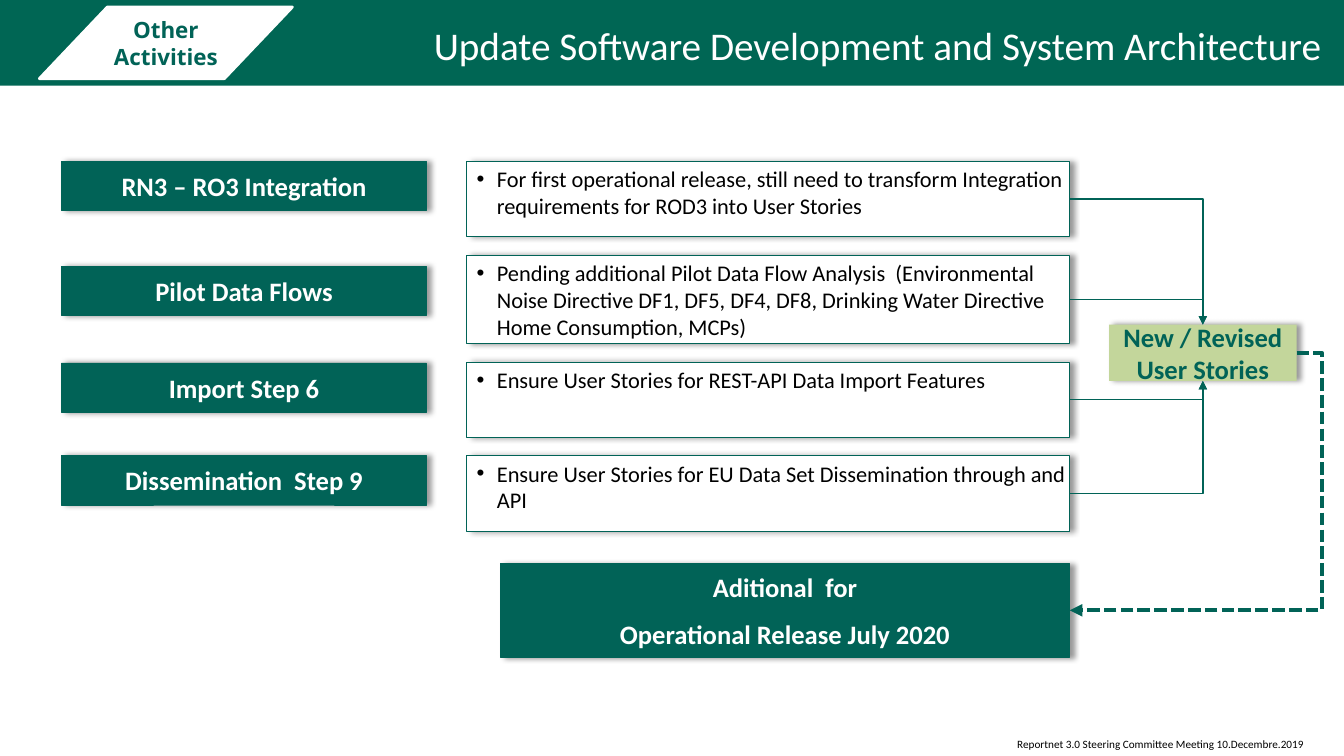
from dataclasses import dataclass

import pptx
import pptx.dml.color
import pptx.enum.dml
import pptx.enum.shapes
import pptx.enum.text
import pptx.oxml
import pptx.oxml.ns
import pptx.util

Inches, Pt = pptx.util.Inches, pptx.util.Pt
RGBColor = pptx.dml.color.RGBColor
MSO_SHAPE = pptx.enum.shapes.MSO_SHAPE
MSO_ANCHOR = pptx.enum.text.MSO_ANCHOR
PP_ALIGN = pptx.enum.text.PP_ALIGN
qn, nsdecls = pptx.oxml.ns.qn, pptx.oxml.ns.nsdecls


@dataclass(frozen=True)
class Theme:
    band: RGBColor = RGBColor.from_string("006654")
    green: RGBColor = RGBColor.from_string("016357")
    lime: RGBColor = RGBColor.from_string("C3D69B")
    white: RGBColor = RGBColor.from_string("FFFFFF")
    black: RGBColor = RGBColor.from_string("000000")
    body_font: str = "Calibri"
    tag_font: str = "Open Sans"
    title_size: int = 28
    label_size: int = 19
    body_size: int = 16
    footer_size: int = 8


theme = Theme()
SHADOW = (
    f'<a:outerShdw {nsdecls("a")} blurRad="50800" dist="38100" dir="0">'
    '<a:srgbClr val="000000"><a:alpha val="40000"/></a:srgbClr></a:outerShdw>'
)


def add_box(place, fill, line=None, line_width=0.5, shadow=True, kind=MSO_SHAPE.RECTANGLE):
    """Add a filled shape; place is left, top, width, height in inches."""
    shape = slide.shapes.add_shape(kind, *map(Inches, place))
    shape.shadow.inherit = False
    if shadow:
        effects = shape._element.spPr.find(qn("a:effectLst"))
        effects.append(pptx.oxml.parse_xml(SHADOW))
    shape.fill.solid()
    shape.fill.fore_color.rgb = fill
    if line is None:
        shape.line.fill.background()
    else:
        shape.line.color.rgb = line
        shape.line.width = Pt(line_width)
    return shape


def write(shape, lines, size, color, font=theme.body_font, bold=False, align=PP_ALIGN.LEFT,
          anchor=MSO_ANCHOR.TOP, insets=(0.1, 0.05, 0.1, 0.05), after=0, bullet=False, wrap=True):
    """Fill the shape with one paragraph per line; insets are left, top, right, bottom."""
    frame = shape.text_frame
    left, top, right, bottom = map(Inches, insets)
    frame_format = {"word_wrap": wrap, "vertical_anchor": anchor, "margin_left": left,
                    "margin_top": top, "margin_right": right, "margin_bottom": bottom}
    for name, value in frame_format.items():
        setattr(frame, name, value)
    font_format = {"name": font, "size": Pt(size), "bold": bold}
    for index, line in enumerate(lines):
        paragraph = frame.add_paragraph() if index else frame.paragraphs[0]
        paragraph.alignment = align
        paragraph.space_before = Pt(3 if index else 0)
        paragraph.space_after = Pt(after)
        if bullet:
            properties = paragraph._p.get_or_add_pPr()
            properties.set("marL", str(Inches(0.2)))
            properties.set("indent", str(Inches(-0.2)))
            properties.append(pptx.oxml.parse_xml(f'<a:buFont {nsdecls("a")} typeface="Arial"/>'))
            properties.append(pptx.oxml.parse_xml(f'<a:buChar {nsdecls("a")} char="•"/>'))
        run = paragraph.add_run()
        run.text = line
        for name, value in font_format.items():
            setattr(run.font, name, value)
        run.font.color.rgb = color


presentation = pptx.Presentation()
presentation.slide_width, presentation.slide_height = Inches(13.33), Inches(7.5)
slide = presentation.slides.add_slide(presentation.slide_layouts[6])

# Header and footer
add_box((0, 0, 13.33, 0.85), theme.band, shadow=False)
footer = slide.shapes.add_textbox(Inches(9.99), Inches(7.27), Inches(3.06), Inches(0.24))
write(footer, ["Reportnet 3.0 Steering Committee Meeting 10.Decembre.2019"],
      theme.footer_size, theme.black, wrap=False)
tag = add_box((0.39, 0.07, 2.51, 0.71), theme.white, theme.white, 2, False, MSO_SHAPE.PARALLELOGRAM)
tag.adjustments[0] = 0.95
write(tag, ["Other Activities"], theme.body_size, theme.green, theme.tag_font, True,
      PP_ALIGN.CENTER, MSO_ANCHOR.MIDDLE, (0, 0, 0, 0))
title = slide.shapes.add_textbox(Inches(3.23), Inches(0.16), Inches(9.97), Inches(0.57))
write(title, ["Update Software Development and System Architecture"],
      theme.title_size, theme.white, align=PP_ALIGN.RIGHT, after=3)

# Activities: label, label top, detail, detail top, detail height
activities = [
    ("RN3 – RO3 Integration", 1.6,
     "For first operational release, still need to transform Integration "
     "requirements for ROD3 into User Stories", 1.6, 0.75),
    ("Pilot Data Flows", 2.64,
     "Pending additional Pilot Data Flow Analysis  (Environmental Noise Directive "
     "DF1, DF5, DF4, DF8, Drinking Water Directive Home Consumption, MCPs)", 2.53, 0.88),
    ("Import Step 6", 3.6,
     "Ensure User Stories for REST-API Data Import Features", 3.59, 0.75),
    ("Dissemination  Step 9", 4.52,
     "Ensure User Stories for EU Data Set Dissemination through and API", 4.52, 0.75),
]
label_format = {"size": theme.label_size, "bold": True, "align": PP_ALIGN.CENTER,
                "anchor": MSO_ANCHOR.MIDDLE, "insets": (0.08, 0.04, 0.08, 0.04), "after": 8}
detail_left, detail_width = 4.63, 5.98
detail_right = detail_left + detail_width
stories_left, stories_top, stories_width, stories_height = 11, 3.22, 1.86, 0.56
stories_center = stories_left + stories_width / 2
stories_middle = stories_top + stories_height / 2
release_top, release_height = 5.59, 0.93

# Arrows: start, end, line width, leads to the release
arrows = []
for label, label_top, detail, detail_top, detail_height in activities:
    detail_box = add_box((detail_left, detail_top, detail_width, detail_height),
                         theme.white, theme.green)
    write(detail_box, [detail], theme.body_size, theme.black,
          insets=(0.1, 0.04, 0.04, 0.04), after=6, bullet=True)
    label_box = add_box((0.61, label_top, 3.62, 0.49), theme.green, theme.green)
    write(label_box, [label], color=theme.white, **label_format)
    detail_middle = detail_top + detail_height / 2
    edge = stories_top if detail_middle < stories_middle else stories_top + stories_height
    arrows.append(((detail_right, detail_middle), (stories_center, edge), 1, False))
arrows.append(((stories_left + stories_width, stories_middle),
               (detail_right, release_top + release_height / 2), 3, True))

# Outcome
release = add_box((4.96, release_top, 5.65, release_height), theme.green, theme.green)
write(release, ["Aditional  for", "Operational Release July 2020"],
      color=theme.white, **label_format)
stories = add_box((stories_left, stories_top, stories_width, stories_height), theme.lime)
write(stories, ["New / Revised User Stories"], color=theme.green, **label_format)

for start, end, width, to_release in arrows:
    connector = slide.shapes.add_connector(
        pptx.enum.shapes.MSO_CONNECTOR.ELBOW, *map(Inches, start + end))
    connector.line.color.rgb = theme.green
    connector.line.width = Pt(width)
    properties = connector._element.spPr
    geometry = properties.find(qn("a:prstGeom"))
    if to_release:
        connector.line.dash_style = pptx.enum.dml.MSO_LINE.SQUARE_DOT
        geometry.get_or_add_avLst().append(pptx.oxml.parse_xml(
            f'<a:gd {nsdecls("a")} name="adj1" fmla="val -11100"/>'))
    else:
        geometry.set("prst", "bentConnector2")
    properties.find(qn("a:ln")).append(
        pptx.oxml.parse_xml(f'<a:tailEnd {nsdecls("a")} type="triangle"/>'))
    properties.append(pptx.oxml.parse_xml(f'<a:effectLst {nsdecls("a")}/>'))

presentation.save("out.pptx")
